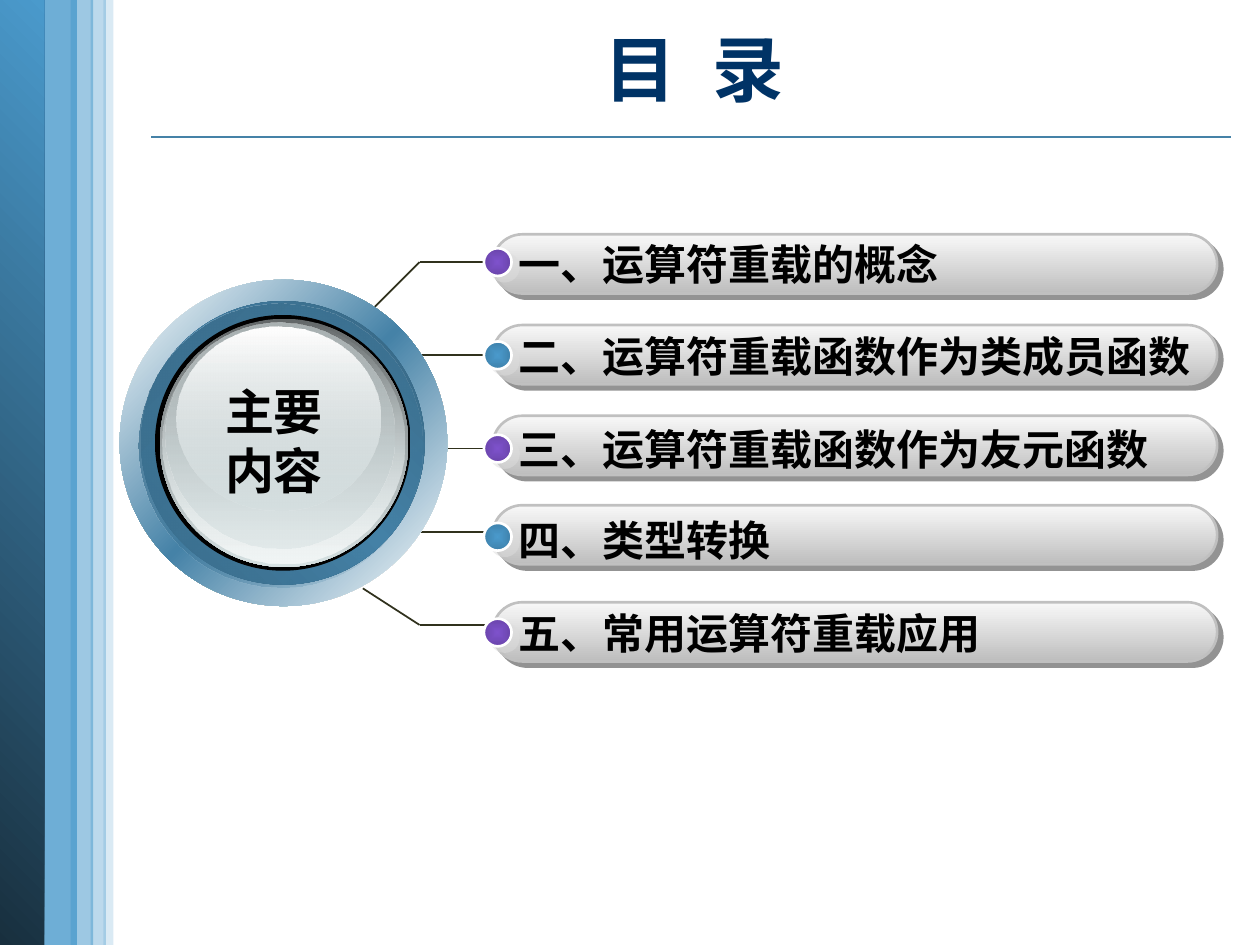
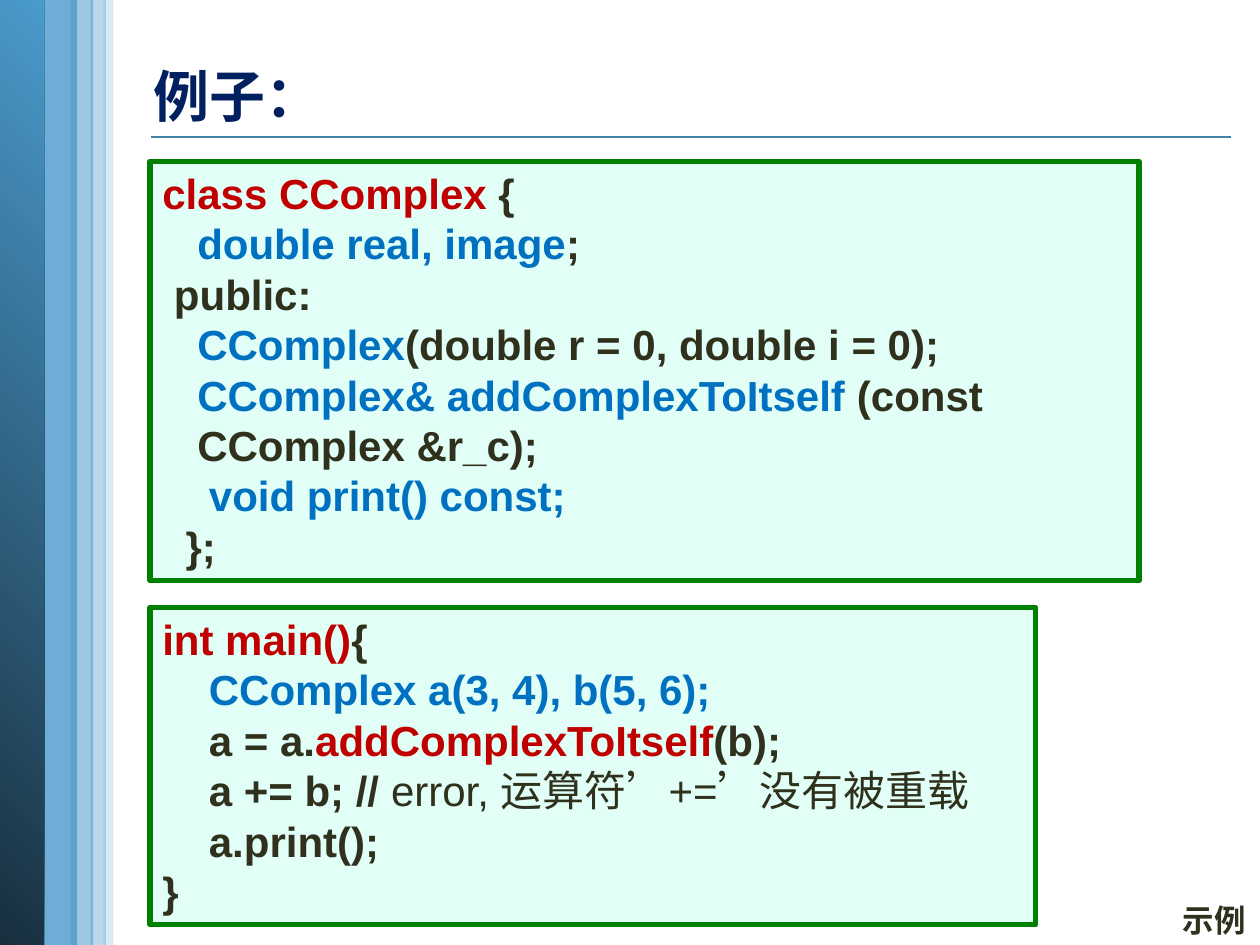
from dataclasses import dataclass

from lxml.etree import SubElement
from pptx import Presentation
from pptx.dml.color import RGBColor
from pptx.enum.shapes import MSO_CONNECTOR as Connector, MSO_SHAPE as Shape
from pptx.enum.text import MSO_ANCHOR as Anchor, PP_ALIGN as Align
from pptx.oxml.ns import qn
from pptx.util import Inches, Pt


@dataclass(frozen=True)
class Theme:
    font: str = "Arial"
    blue: str = "4A9ACC"
    steel: str = "4582A7"
    steel_dark: str = "356480"
    band_dark: str = "182F3E"
    purple: str = "7E52CC"
    title: str = "003366"
    heading: str = "002060"
    ink: str = "30311D"
    black: str = "000000"
    white: str = "FFFFFF"
    glass: str = "D6E1E2"
    bar_line: str = "C0C0C0"
    code_fill: str = "E1FFF7"
    code_line: str = "008000"
    keyword: str = "C00000"
    member: str = "0070C0"
    title_size: float = 41
    heading_size: float = 32
    hub_size: float = 28
    body_size: float = 24
    note_size: float = 18
    code_pitch: float = 28.8


THEME = Theme()

# label, then the tops of bar, dot and label, and the height of the lead line
TOPICS = [
    ("一、运算符重载的概念", 1.86, 1.97, 1.84, 2.08),
    ("二、运算符重载函数作为类成员函数", 2.58, 2.71, 2.57, 2.82),
    ("三、运算符重载函数作为友元函数", 3.3, 3.45, 3.31, 3.56),
    ("四、类型转换", 4.01, 4.15, 4.03, 4.22),
    ("五、常用运算符重载应用", 4.78, 4.91, 4.77, 4.96),
]
LEAD_STARTS = [3.33, 3.25, 3.33, 3.25, 3.33]
DOT_FILLS = [
    [(0, THEME.purple), (100, "6A45AB")],
    [(0, THEME.blue), (100, "3E81AB")],
]

# place, gradient stops and angle, from back to front
HUB_RINGS = [
    ((0.95, 2.22, 2.6, 2.59),
     [(0, THEME.white), (50, THEME.steel), (100, THEME.white)], 45),
    ((1.12, 2.39, 2.25, 2.25),
     [(0, THEME.steel_dark), (50, THEME.steel), (100, THEME.steel_dark)], 315),
    ((1.1, 2.41, 2.25, 2.25), [(0, "396B89"), (100, THEME.steel, 0)], 45),
    ((1.23, 2.5, 2.03, 2.03), [(0, THEME.black), (100, THEME.black)], 90),
    ((1.27, 2.53, 1.97, 1.97), [(0, "636869"), (100, THEME.glass)], 90),
    ((1.29, 2.55, 1.92, 1.92), [(0, THEME.glass, 0), (100, "F1F5F5")], 90),
    ((1.31, 2.56, 1.82, 1.79), [(0, "AAB2B3"), (100, THEME.glass, 48)], 90),
    ((1.4, 2.59, 1.62, 1.46), [(0, THEME.white), (100, THEME.glass, 38)], 90),
]

CLASS_CODE = [
    [("class CComplex ", THEME.keyword), ("{", THEME.ink)],
    [("   double real, image", THEME.member), (";", THEME.ink)],
    [(" public:", THEME.ink)],
    [("   CComplex", THEME.member),
     ("(double r = 0, double i = 0);", THEME.ink)],
    [("   CComplex& addComplexToItself", THEME.member),
     (" (const", THEME.ink)],
    [("   CComplex &r_c);", THEME.ink)],
    [("    void print() const;", THEME.member)],
    [("  };", THEME.ink)],
]
MAIN_CODE = [
    [("int main()", THEME.keyword), ("{", THEME.ink)],
    [("    CComplex a(3, 4), b(5, 6);", THEME.member)],
    [("    a = a.", THEME.ink), ("addComplexToItself", THEME.keyword),
     ("(b);", THEME.ink)],
    [("    a += b; // ", THEME.ink),
     ("error, 运算符’+=’没有被重载", THEME.ink, False)],
    [("    a.print();", THEME.ink)],
    [("}", THEME.ink)],
]


def apply_format(target, values):
    for name, value in values.items():
        setattr(target, name, value)


def add_color(parent, color, alpha=100):
    element = SubElement(parent, qn("a:srgbClr"), val=color)
    if alpha < 100:
        SubElement(element, qn("a:alpha"), val=str(alpha * 1000))


def set_gradient(shape, stops, angle=None):
    """Fill with (position, colour[, alpha]) stops; no angle means from the centre."""
    shape.fill.gradient()
    gradient = shape._element.spPr.find(qn("a:gradFill"))
    for child in list(gradient):
        gradient.remove(child)
    stop_list = SubElement(gradient, qn("a:gsLst"))
    for position, *color in stops:
        stop = SubElement(stop_list, qn("a:gs"), pos=str(position * 1000))
        add_color(stop, *color)
    if angle is None:
        center = SubElement(gradient, qn("a:path"), path="shape")
        SubElement(center, qn("a:fillToRect"),
                   {side: "50000" for side in "ltrb"})
    else:
        SubElement(gradient, qn("a:lin"), ang=str(angle * 60000), scaled="1")


def set_solid(shape, color, alpha=100):
    shape.fill.solid()
    shape.fill.fore_color.rgb = RGBColor.from_string(color)
    if alpha < 100:
        color_element = shape._element.spPr.find(qn("a:solidFill"))[0]
        SubElement(color_element, qn("a:alpha"), val=str(alpha * 1000))


def set_shadow(shape, color, distance, direction):
    effects = shape._element.spPr.find(qn("a:effectLst"))
    shadow = SubElement(effects, qn("a:outerShdw"), dist=str(Pt(distance)),
                        dir=str(direction * 60000), algn="ctr",
                        rotWithShape="0")
    add_color(shadow, color, 50)


def add_plain_shape(slide, kind, place, line=None, line_width=1.5):
    shape = slide.shapes.add_shape(kind, *map(Inches, place))
    shape.shadow.inherit = False
    if line:
        shape.line.color.rgb = RGBColor.from_string(line)
        shape.line.width = Pt(line_width)
    else:
        shape.line.fill.background()
    return shape


def add_line(slide, start, end, color=THEME.ink):
    line = slide.shapes.add_connector(Connector.STRAIGHT,
                                      *map(Inches, start + end))
    line.line.color.rgb = RGBColor.from_string(color)
    line.line.width = Pt(1)
    SubElement(line._element.spPr, qn("a:effectLst"))


def add_run(paragraph, text, size, color, bold=True):
    run = paragraph.add_run()
    run.text = text
    apply_format(run.font, {"name": THEME.font, "size": Pt(size),
                            "bold": bold})
    run.font.color.rgb = RGBColor.from_string(color)
    return run


def add_text(slide, place, lines, size, color, align=Align.LEFT,
             anchor=Anchor.TOP, wrap=False):
    """Add a text box and return the last run in it."""
    frame = slide.shapes.add_textbox(*map(Inches, place)).text_frame
    apply_format(frame, {"word_wrap": wrap, "vertical_anchor": anchor})
    for index, text in enumerate(lines):
        paragraph = frame.add_paragraph() if index else frame.paragraphs[0]
        paragraph.alignment = align
        run = add_run(paragraph, text, size, color)
    return run


def add_code_box(slide, place, code):
    box = add_plain_shape(slide, Shape.RECTANGLE, place, THEME.code_line, 3)
    set_solid(box, THEME.code_fill)
    frame = box.text_frame
    apply_format(frame, {"word_wrap": True, "vertical_anchor": Anchor.TOP})
    for index, pieces in enumerate(code):
        paragraph = frame.add_paragraph() if index else frame.paragraphs[0]
        apply_format(paragraph, {"alignment": Align.LEFT,
                                 "line_spacing": Pt(THEME.code_pitch)})
        for text, color, *bold in pieces:
            add_run(paragraph, text, THEME.body_size, color, *bold)


def add_band(slide, left, width, alpha=100):
    band = add_plain_shape(slide, Shape.RECTANGLE, (left, 0, width, 7.5))
    set_solid(band, THEME.blue, alpha)
    return band


def add_framed_slide(presentation):
    """Add a slide with the title rule and the blue bands on the left."""
    slide = presentation.slides.add_slide(presentation.slide_layouts[6])
    add_line(slide, (1.2, 1.09), (9.77, 1.09), THEME.steel)
    add_band(slide, 0.3, 0.31, 80)
    edge = add_band(slide, -0.01, 0.36)
    set_gradient(edge, [(0, THEME.band_dark), (100, THEME.blue)], 315)
    for left, width, alpha in [(0.82, 0.08, 20), (0.56, 0.18, 54),
                               (0.72, 0.12, 37)]:
        add_band(slide, left, width, alpha)
    return slide


def add_topic_bar(slide, top):
    bar = add_plain_shape(slide, Shape.ROUNDED_RECTANGLE,
                          (3.91, top, 5.75, 0.47), THEME.bar_line)
    bar.adjustments[0] = 0.5
    set_gradient(bar, [(0, "F8F8F8"), (100, "BEBEBE")], 90)
    set_shadow(bar, "292929", 4.2, 45)


def add_topic_dot(slide, top, stops):
    dot = add_plain_shape(slide, Shape.OVAL, (3.84, top, 0.22, 0.22),
                          THEME.white)
    set_gradient(dot, stops)
    set_shadow(dot, "DDDDDD", 5, 37)


def add_hub(slide):
    for place, stops, angle in HUB_RINGS:
        ring = add_plain_shape(slide, Shape.OVAL, place)
        set_gradient(ring, stops, angle)
    add_text(slide, (1.36, 2.98, 1.63, 1.04), ["主要", "内容"],
             THEME.hub_size, THEME.black, Align.CENTER, wrap=True)


def build_contents(presentation):
    slide = add_framed_slide(presentation)
    title = add_text(slide, (1.16, -0.02, 8.7, 1.11), ["目 录"],
                     THEME.title_size, THEME.title, Align.CENTER,
                     Anchor.MIDDLE, True)
    title.font._element.set("spc", "570")
    for start, topic in zip(LEAD_STARTS, TOPICS):
        add_line(slide, (start, topic[-1]), (3.92, topic[-1]))
    add_line(slide, (2.96, 2.45), (3.33, 2.08))
    add_line(slide, (2.88, 4.67), (3.33, 4.96))
    for index, (label, bar_top, dot_top, label_top, _) in enumerate(TOPICS):
        add_topic_bar(slide, bar_top)
        add_topic_dot(slide, dot_top, DOT_FILLS[index % 2])
        label_width = len(label) * THEME.body_size / 72 + 0.25
        add_text(slide, (4.02, label_top, label_width, 0.5), [label],
                 THEME.body_size, THEME.black, anchor=Anchor.MIDDLE)
    add_hub(slide)


def build_example(presentation):
    slide = add_framed_slide(presentation)
    add_text(slide, (1.12, 0.44, 1.55, 0.64), ["例子："],
             THEME.heading_size, THEME.heading)
    add_code_box(slide, (1.19, 1.28, 7.85, 3.33), CLASS_CODE)
    add_code_box(slide, (1.19, 4.82, 7.03, 2.52), MAIN_CODE)
    add_text(slide, (9.29, 7.1, 0.71, 0.4), ["示例"],
             THEME.note_size, THEME.ink)


def main():
    presentation = Presentation()
    apply_format(presentation, {"slide_width": Inches(10),
                                "slide_height": Inches(7.5)})
    build_contents(presentation)
    build_example(presentation)
    presentation.save("out.pptx")


if __name__ == "__main__":
    main()
